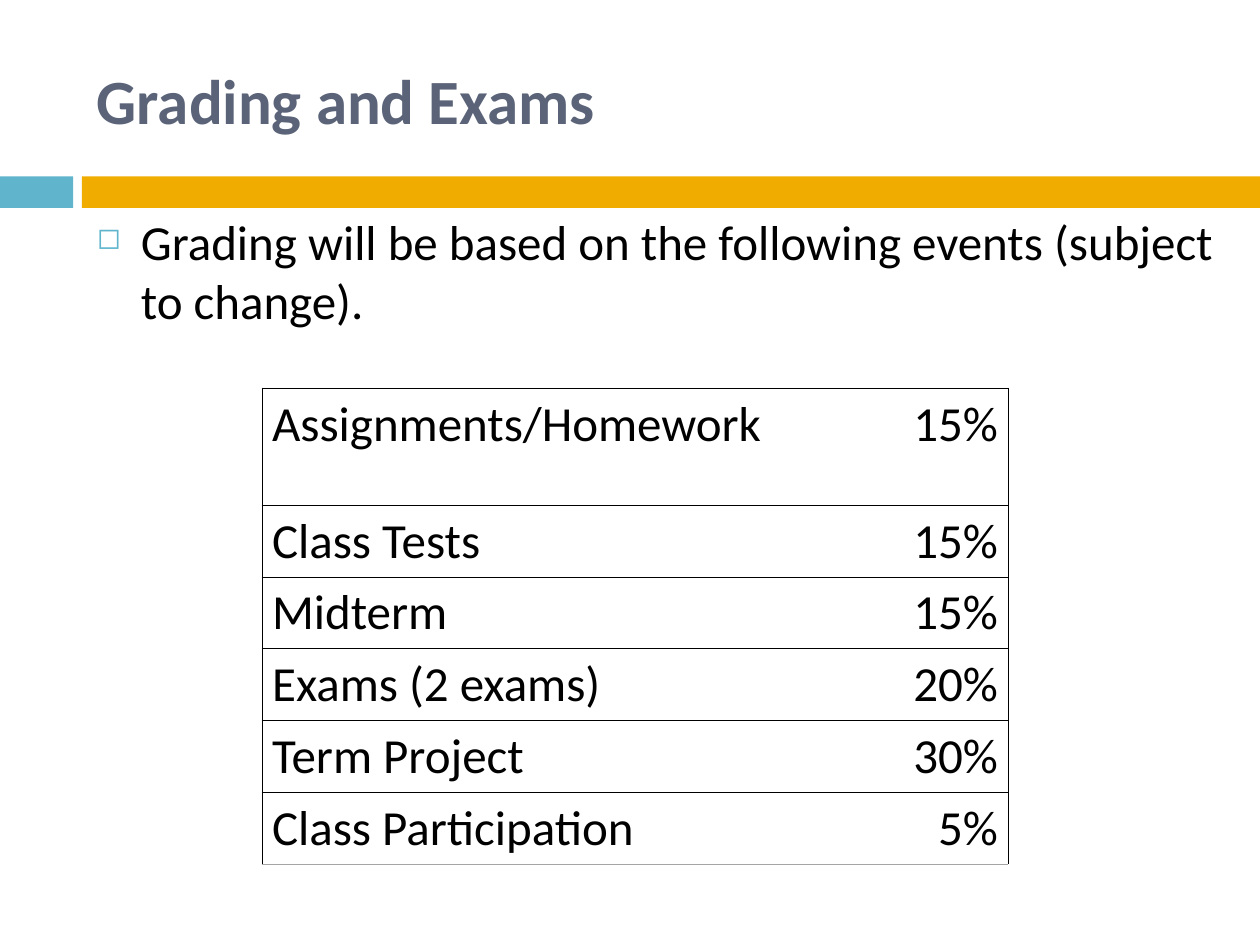
from dataclasses import dataclass

from lxml.etree import SubElement
from pptx import Presentation
from pptx.dml.color import RGBColor
from pptx.enum.shapes import MSO_SHAPE as Shape
from pptx.enum.text import MSO_ANCHOR as Anchor, PP_ALIGN as Align
from pptx.oxml import parse_xml
from pptx.oxml.ns import nsdecls, qn
from pptx.util import Inches, Pt


@dataclass(frozen=True)
class Theme:
    """Colours, font and type sizes of the slide."""
    font: str = "Calibri"
    title: str = "5A6378"
    text: str = "000000"
    accent: str = "60B5CC"
    band: str = "F0AD00"
    last_rule: str = "A5A5A5"
    title_size: int = 36
    body_size: int = 28
    rule_width: float = 0.45


THEME = Theme()
GRADES = [
    ("Assignments/Homework", "15%"),
    ("Class Tests", "15%"),
    ("Midterm", "15%"),
    ("Exams (2 exams)", "20%"),
    ("Term Project", "30%"),
    ("Class Participation", "5%"),
]


def style(para, size, color, bold=False):
    """Set the font of a whole paragraph."""
    para.font.name = THEME.font
    para.font.size = Pt(size)
    para.font.bold = bold
    para.font.color.rgb = RGBColor.from_string(color)


def add_text(page, box, text, anchor):
    """Place a wrapped text box and return its paragraph."""
    frame = page.shapes.add_textbox(*map(Inches, box)).text_frame
    frame.word_wrap = True
    frame.vertical_anchor = anchor
    para = frame.paragraphs[0]
    para.text = text
    return para


def add_band(page, box, split, gap):
    """Draw the two-coloured band with a gap after the split."""
    left, top, width, height = box
    start = split + gap
    parts = [(left, split, THEME.accent), (left + start, width - start, THEME.band)]
    for part_left, part_width, color in parts:
        bar = page.shapes.add_shape(
            Shape.RECTANGLE, Inches(part_left), Inches(top), Inches(part_width), Inches(height))
        bar.shadow.inherit = False
        bar.fill.solid()
        bar.fill.fore_color.rgb = RGBColor.from_string(color)
        bar.line.fill.background()


def add_title(page, box, text):
    """Write the slide title."""
    para = add_text(page, box, text, Anchor.MIDDLE)
    style(para, THEME.title_size, THEME.title, bold=True)


def add_bullet(page, box, text):
    """Write one paragraph with a hanging square bullet."""
    para = add_text(page, box, text, Anchor.TOP)
    props = para._p.get_or_add_pPr()
    props.set("marL", str(Inches(0.35)))
    props.set("indent", str(-Inches(0.35)))
    color = SubElement(props, qn("a:buClr"))
    SubElement(color, qn("a:srgbClr"), val=THEME.accent)
    SubElement(props, qn("a:buSzPct"), val="60000")
    SubElement(props, qn("a:buChar"), char="◻")
    style(para, THEME.body_size, THEME.text)


def set_borders(cell, colors):
    """Rule the left, right, top and bottom sides, leaving out those without a colour."""
    props = cell._tc.get_or_add_tcPr()
    for index, (side, color) in enumerate(zip("LRTB", colors)):
        fill = f'<a:solidFill><a:srgbClr val="{color}"/></a:solidFill>' if color else "<a:noFill/>"
        props.insert(index, parse_xml(
            f'<a:ln{side} {nsdecls("a")} w="{Pt(THEME.rule_width)}">{fill}</a:ln{side}>'))


def add_grades(page, box, grades, widths, heights):
    """Build the table of graded events and their weights."""
    table = page.shapes.add_table(len(grades), len(widths), *map(Inches, box)).table
    table.first_row = table.horz_banding = False
    for column, width in zip(table.columns, widths):
        column.width = Inches(width)
    for row, height in zip(table.rows, heights):
        row.height = Inches(height)
    for index, grade in enumerate(grades):
        bottom = THEME.last_rule if index == len(grades) - 1 else THEME.text
        for side, text in enumerate(grade):
            cell = table.cell(index, side)
            cell.margin_left = cell.margin_right = Inches(0.08)
            cell.margin_top = cell.margin_bottom = Inches(0.05)
            cell.fill.background()
            edges = (None, THEME.text) if side else (THEME.text, None)
            set_borders(cell, (*edges, THEME.text, bottom))
            para = cell.text_frame.paragraphs[0]
            para.text = text
            para.alignment = Align.RIGHT if side else Align.LEFT
            style(para, THEME.body_size, THEME.text)


def main():
    """Build and save the slide."""
    deck = Presentation()
    deck.slide_width, deck.slide_height = Inches(10), Inches(7.5)
    page = deck.slides.add_slide(deck.slide_layouts[6])
    add_band(page, (0, 1.4, 10, 0.25), split=0.58, gap=0.07)
    add_title(page, (0.67, 0.25, 8.92, 1.08), "Grading and Exams")
    add_bullet(page, (0.67, 1.63, 9.08, 4.92),
               "Grading will be based on the following events (subject to change).")
    add_grades(page, (2.08, 3.08, 5.92, 3.8), GRADES,
               widths=(4.04, 1.88), heights=[0.93] + [0.57] * (len(GRADES) - 1))
    deck.save("out.pptx")


if __name__ == "__main__":
    main()
